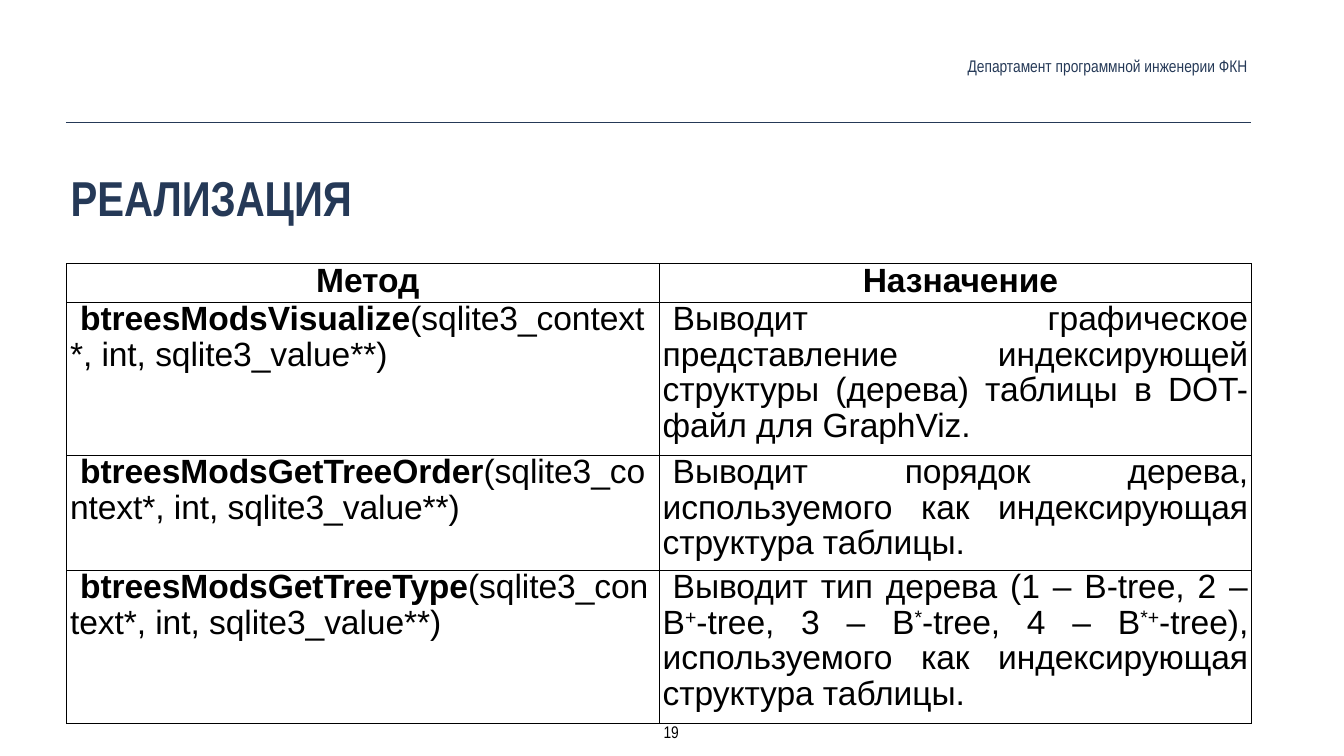
from dataclasses import dataclass

import pptx
import pptx.dml.color
import pptx.enum.shapes
import pptx.enum.text
import pptx.oxml
import pptx.oxml.ns
import pptx.util
from lxml import etree

Align = pptx.enum.text.PP_ALIGN
Anchor = pptx.enum.text.MSO_ANCHOR


@dataclass(frozen=True)
class Theme:
    navy: str = "253957"
    black: str = "000000"
    narrow: str = "Arial Narrow"
    body: str = "Arial"
    title_size: int = 70
    table_size: int = 48
    small_size: int = 24
    line_width: int = 1
    box_inset: float = 0.08
    cell_inset: float = 0.07
    indent: float = 0.2


THEME = Theme()
BOLD = {"bold": True}
RAISED = {"raised": True}
ARGUMENTS = ("(sqlite3_context*, int, sqlite3_value**)", {})
METHODS = [
    ("btreesModsVisualize",
     [("Выводит графическое представление индексирующей структуры (дерева) "
       "таблицы в DOT-файл для GraphViz.", {})]),
    ("btreesModsGetTreeOrder",
     [("Выводит порядок дерева, используемого как индексирующая "
       "структура таблицы.", {})]),
    ("btreesModsGetTreeType",
     [("Выводит тип дерева (1 – B-tree, 2 – B", {}), ("+", RAISED),
      ("-tree, 3 – B", {}), ("*", RAISED),
      ("-tree, 4 – B", {}), ("*+", RAISED),
      ("-tree), используемого как индексирующая структура таблицы.", {})]),
]


def add_text(para, text, *, size, font, color, bold=False, raised=False, spacing=None):
    span = para.add_run()
    span.text = text
    span.font.size = pptx.util.Pt(size)
    span.font.name = font
    span.font.bold = bold
    span.font.color.rgb = pptx.dml.color.RGBColor.from_string(color)
    properties = span.font._element
    if raised:
        properties.set("baseline", "30000")
    if spacing is not None:
        properties.set("spc", str(round(spacing * 100)))


def add_borders(cell, color, width):
    properties = cell._tc.get_or_add_tcPr()
    for side in ("a:lnL", "a:lnR", "a:lnT", "a:lnB"):
        border = etree.SubElement(properties, pptx.oxml.ns.qn(side),
                                  w=str(pptx.util.Pt(width)))
        fill = etree.SubElement(border, pptx.oxml.ns.qn("a:solidFill"))
        etree.SubElement(fill, pptx.oxml.ns.qn("a:srgbClr"), val=color)


class SlideBuilder:
    """Places elements by percentages of the slide's width and height."""

    def __init__(self, deck, theme):
        self.deck = deck
        self.theme = theme
        self.page = deck.slides.add_slide(deck.slide_layouts[6])

    def place(self, *shares):
        """Turn alternating horizontal and vertical percentages into lengths."""
        sides = (self.deck.slide_width, self.deck.slide_height) * 2
        return [round(side * share / 100) for side, share in zip(sides, shares)]

    def rule(self, *ends):
        line = self.page.shapes.add_connector(
            pptx.enum.shapes.MSO_CONNECTOR.STRAIGHT, *self.place(*ends))
        line.line.color.rgb = pptx.dml.color.RGBColor.from_string(self.theme.navy)
        line.line.width = pptx.util.Pt(self.theme.line_width)
        etree.SubElement(line._element.spPr, pptx.oxml.ns.qn("a:effectLst"))

    def label(self, area, text, *, align=Align.LEFT, anchor=Anchor.TOP,
              wrap=True, grow=False, **style):
        frame = self.page.shapes.add_textbox(*self.place(*area)).text_frame
        frame.word_wrap = wrap
        frame.vertical_anchor = anchor
        if grow:
            frame.auto_size = pptx.enum.text.MSO_AUTO_SIZE.SHAPE_TO_FIT_TEXT
        frame.margin_left = frame.margin_right = pptx.util.Inches(self.theme.box_inset)
        frame.margin_top = frame.margin_bottom = pptx.util.Inches(self.theme.box_inset)
        para = frame.paragraphs[0]
        para.alignment = align
        add_text(para, text, font=self.theme.narrow, **style)

    def table(self, area, rows):
        """Draw a table whose rows grow to the height of their text."""
        left, top, width, height = self.place(*area)
        frame = self.page.shapes.add_table(
            len(rows), len(rows[0]), left, top, width, height)
        grid = frame.table
        grid.first_row = grid.horz_banding = False
        for row_index, row in enumerate(rows):
            grid.rows[row_index].height = 0
            for column_index, spans in enumerate(row):
                align = Align.JUSTIFY if row_index else Align.CENTER
                self.fill_cell(grid.cell(row_index, column_index), spans, align)
        frame.height = height

    def fill_cell(self, cell, spans, align):
        theme = self.theme
        add_borders(cell, theme.black, theme.line_width)
        cell.fill.background()
        cell.margin_left = cell.margin_right = pptx.util.Inches(theme.cell_inset)
        cell.margin_top = cell.margin_bottom = 0
        para = cell.text_frame.paragraphs[0]
        para.alignment = align
        para.line_spacing = 0.95
        para.space_after = pptx.util.Pt(6)
        properties = para._p.get_or_add_pPr()
        properties.set("marL", "0")
        properties.set("indent", str(pptx.util.Inches(theme.indent)))
        for text, style in spans:
            add_text(para, text, size=theme.table_size, font=theme.body,
                     color=theme.black, spacing=-0.1, **style)


def main():
    deck = pptx.Presentation()
    deck.slide_width = pptx.util.Inches(26.67)
    deck.slide_height = pptx.util.Inches(15)
    slide = SlideBuilder(deck, THEME)

    slide.rule(4.91, 16.13, 93.1, 16.13)
    slide.label((4.95, 21.67, 88.19, 16.87), "РЕАЛИЗАЦИЯ",
                size=THEME.title_size, color=THEME.navy, bold=True)
    slide.label((46.5, 6.87, 46.6, 3.73), "Департамент программной инженерии ФКН",
                size=THEME.small_size, color=THEME.navy,
                align=Align.RIGHT, anchor=Anchor.MIDDLE, grow=True)
    slide.label((48.93, 94.87, 2.02, 3.73), "19",
                size=THEME.small_size, color=THEME.black,
                align=Align.CENTER, wrap=False, grow=True)

    header = [[("Метод", BOLD)], [("Назначение", BOLD)]]
    body = [[[(name, BOLD), ARGUMENTS], purpose] for name, purpose in METHODS]
    slide.table((4.95, 34.87, 88.19, 45.6), [header] + body)

    deck.save("out.pptx")


if __name__ == "__main__":
    main()
